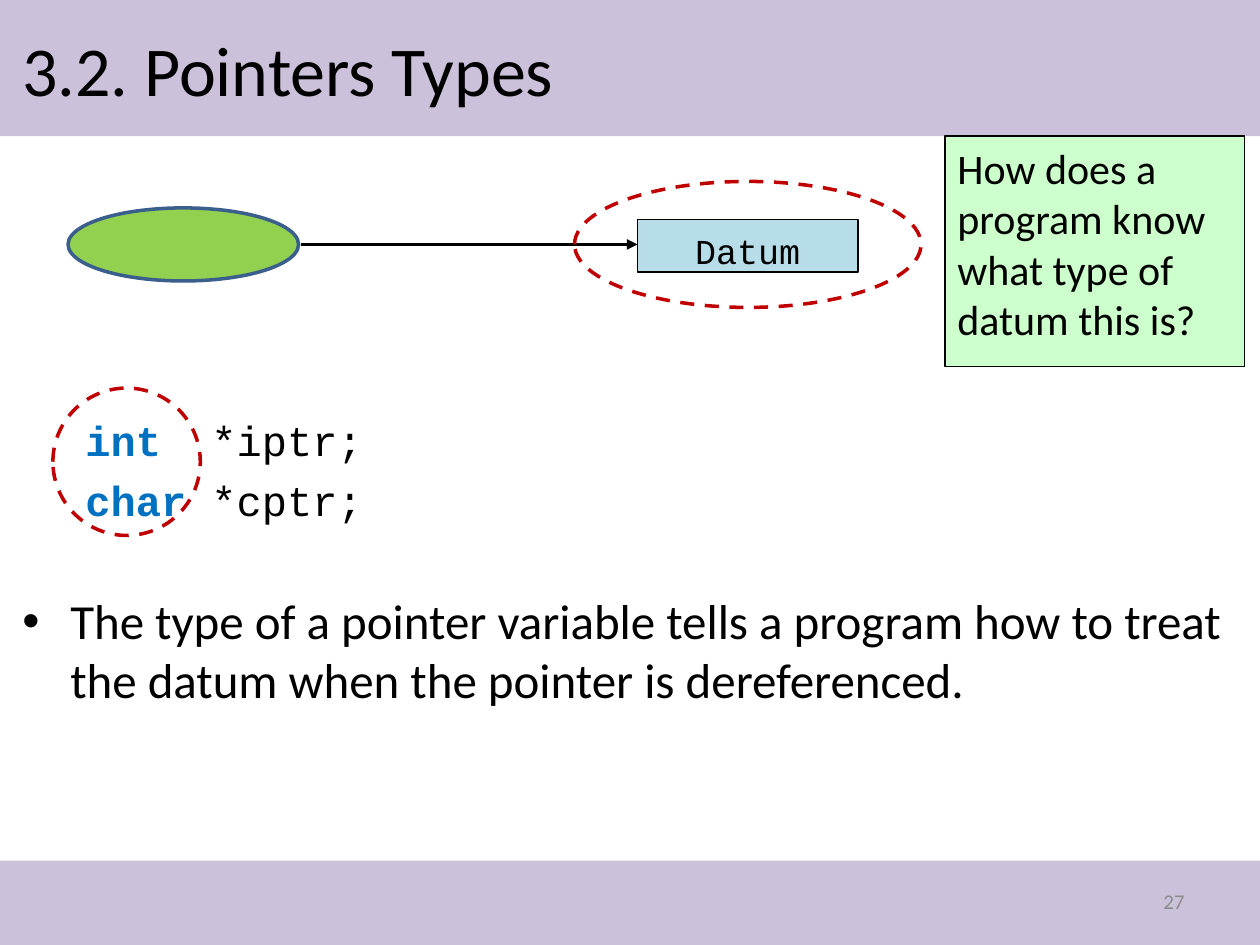
"""Build the slide on pointer types."""
import pptx
import pptx.dml.color
import pptx.enum.dml
import pptx.enum.shapes
import pptx.enum.text
import pptx.oxml
import pptx.oxml.ns
import pptx.util

Inches = pptx.util.Inches
Pt = pptx.util.Pt
RGBColor = pptx.dml.color.RGBColor
SHAPE = pptx.enum.shapes.MSO_SHAPE
ANCHOR = pptx.enum.text.MSO_ANCHOR
ALIGN = pptx.enum.text.PP_ALIGN

BLACK = RGBColor(0x00, 0x00, 0x00)
LILAC = RGBColor(0xCC, 0xC1, 0xDA)
GREEN = RGBColor(0x92, 0xD0, 0x50)
NAVY = RGBColor(0x3A, 0x5F, 0x8C)
PALE_BLUE = RGBColor(0xB7, 0xDE, 0xE8)
PALE_GREEN = RGBColor(0xCC, 0xFF, 0xCC)
RED = RGBColor(0xC0, 0x00, 0x00)
KEYWORD = RGBColor(0x00, 0x70, 0xC0)
GREY = RGBColor(0x8C, 0x8C, 0x8C)


def add_figure(kind, place, fill=None, line=None, width=0.75, dashed=False):
    figure = page.shapes.add_shape(kind, *[Inches(length) for length in place])
    figure.shadow.inherit = False
    if fill is None:
        figure.fill.background()
    else:
        figure.fill.solid()
        figure.fill.fore_color.rgb = fill
    if line is None:
        figure.line.fill.background()
    else:
        figure.line.color.rgb = line
        figure.line.width = Pt(width)
    if dashed:
        figure.line.dash_style = pptx.enum.dml.MSO_LINE.DASH
    return figure


def write(box, lines, size, font="Calibri", align=ALIGN.LEFT, anchor=ANCHOR.TOP, gap=0):
    frame = box.text_frame
    frame.word_wrap = True
    frame.vertical_anchor = anchor
    for number, spans in enumerate(lines):
        para = frame.add_paragraph() if number else frame.paragraphs[0]
        para.alignment = align
        if number:
            para.space_before = Pt(gap)
        for text, color, bold in spans:
            span = para.add_run()
            span.text = text
            span.font.name = font
            span.font.size = Pt(size)
            span.font.bold = bold
            span.font.color.rgb = color
    return frame


deck = pptx.Presentation()
deck.slide_width = Inches(10)
deck.slide_height = Inches(7.5)
page = deck.slides.add_slide(deck.slide_layouts[6])

for top, height in [(0, 1.08), (6.83, 0.67)]:
    add_figure(SHAPE.RECTANGLE, (0, top, 10, height), LILAC)

title = page.shapes.add_textbox(Inches(0.08), Inches(0.08), Inches(9.84), Inches(0.92))
write(title, [[("3.2. Pointers Types", BLACK, False)]], 40, anchor=ANCHOR.MIDDLE)

code = page.shapes.add_textbox(Inches(0.58), Inches(3.24), Inches(4), Inches(1.1))
declarations = [("int  ", "*iptr;"), ("char", " *cptr;")]
code_lines = [[(kind, KEYWORD, True), (name, BLACK, False)] for kind, name in declarations]
write(code, code_lines, 24, "Courier New", gap=5.5)

body = page.shapes.add_textbox(Inches(0.08), Inches(4.64), Inches(9.76), Inches(2.1))
statement = (
    "The type of a pointer variable tells a program how to treat "
    "the datum when the pointer is dereferenced."
)
frame = write(body, [[(statement, BLACK, False)]], 28)
properties = frame.paragraphs[0]._p.get_or_add_pPr()
properties.set("marL", str(Inches(0.38)))
properties.set("indent", str(-Inches(0.38)))
for tag, key, value in [("a:buFont", "typeface", "Arial"), ("a:buChar", "char", "•")]:
    bullet = pptx.oxml.parse_xml(f"<{tag} {pptx.oxml.ns.nsdecls('a')}/>")
    bullet.set(key, value)
    properties.append(bullet)

number_box = page.shapes.add_textbox(Inches(7.17), Inches(6.95), Inches(2.33), Inches(0.4))
write(number_box, [[("27", GREY, False)]], 12, align=ALIGN.RIGHT, anchor=ANCHOR.MIDDLE)

add_figure(SHAPE.OVAL, (0.54, 1.65, 1.83, 0.58), GREEN, NAVY, 2)

arrow = page.shapes.add_connector(
    pptx.enum.shapes.MSO_CONNECTOR.STRAIGHT,
    Inches(2.39), Inches(1.94), Inches(5.06), Inches(1.94),
)
arrow.line.color.rgb = BLACK
arrow.line.width = Pt(2)
arrow_line = arrow.line._get_or_add_ln()
arrow_line.append(
    pptx.oxml.parse_xml(f'<a:tailEnd {pptx.oxml.ns.nsdecls("a")} type="triangle"/>')
)
arrow_line.addnext(pptx.oxml.parse_xml(f'<a:effectLst {pptx.oxml.ns.nsdecls("a")}/>'))

datum = add_figure(SHAPE.RECTANGLE, (5.06, 1.74, 1.75, 0.42), PALE_BLUE, BLACK)
frame = write(datum, [[("Datum", BLACK, False)]], 20, "Courier New", ALIGN.CENTER)
frame.margin_top = Inches(0.08)
frame.margin_bottom = Inches(0)

add_figure(SHAPE.OVAL, (4.56, 1.44, 2.75, 1), line=RED, width=2, dashed=True)

question = add_figure(SHAPE.RECTANGLE, (7.5, 1.08, 2.38, 1.83), PALE_GREEN, BLACK)
write(question, [[("How does a program know what type of datum this is?", BLACK, False)]], 24)

add_figure(SHAPE.OVAL, (0.42, 3.08, 1.17, 1.17), line=RED, width=2, dashed=True)

deck.save("out.pptx")
